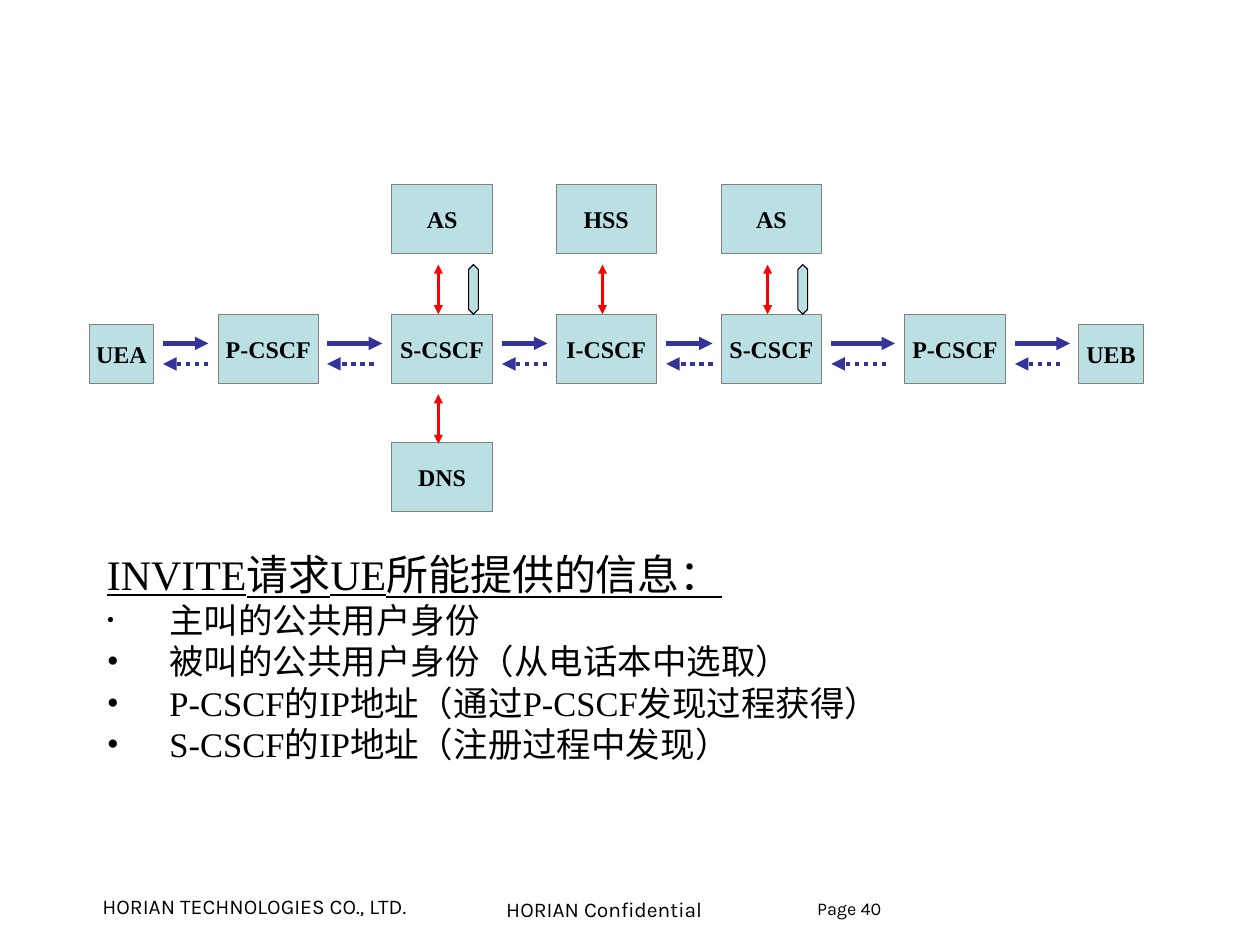
from lxml import etree
from pptx import Presentation
from pptx.dml.color import RGBColor
from pptx.enum.dml import MSO_LINE
from pptx.enum.shapes import MSO_CONNECTOR, MSO_SHAPE
from pptx.enum.text import MSO_ANCHOR, PP_ALIGN
from pptx.oxml.ns import qn
from pptx.util import Inches, Pt

RECTANGLE = MSO_SHAPE.RECTANGLE
UP_DOWN_ARROW = MSO_SHAPE.UP_DOWN_ARROW
STRAIGHT = MSO_CONNECTOR.STRAIGHT
DOTTED = MSO_LINE.ROUND_DOT
MIDDLE = MSO_ANCHOR.MIDDLE
TOP = MSO_ANCHOR.TOP
LEFT = PP_ALIGN.LEFT
CENTER = PP_ALIGN.CENTER

COLORS = {
    "text": "000000",
    "node": "BBE0E3",
    "node_line": "808080",
    "signal": "333399",
    "query": "FF0000",
}
BODY_FONT = "Times New Roman"
FOOTER_FONT = "Karla"

NODE_WIDTH, NODE_HEIGHT = 0.93, 0.64
SERVER_TOP, CSCF_TOP, DNS_TOP = 1.71, 2.91, 4.1
ORIGINATING, INTERROGATING, TERMINATING = 3.63, 5.15, 6.68
QUERY_OFFSET, SERVICE_OFFSET = 0.43, 0.71
VERTICAL_GAP, VERTICAL_LENGTH = 0.1, 0.46
REQUEST_Y, RESPONSE_Y = 3.18, 3.37

NODES = [
    ("UEA", 0.83, 3, 0.59, 0.55),
    ("UEB", 9.99, 3, 0.6, 0.55),
] + [
    (name, left, top, NODE_WIDTH, NODE_HEIGHT)
    for name, left, top in [
        ("P-CSCF", 2.02, CSCF_TOP),
        ("S-CSCF", ORIGINATING, CSCF_TOP),
        ("I-CSCF", INTERROGATING, CSCF_TOP),
        ("S-CSCF", TERMINATING, CSCF_TOP),
        ("P-CSCF", 8.38, CSCF_TOP),
        ("AS", ORIGINATING, SERVER_TOP),
        ("HSS", INTERROGATING, SERVER_TOP),
        ("AS", TERMINATING, SERVER_TOP),
        ("DNS", ORIGINATING, DNS_TOP),
    ]
]

HOPS = [
    (1.51, 1.93, 1.93),
    (3.03, 3.54, 3.46),
    (4.65, 5.07, 5.07),
    (6.17, 6.6, 6.6),
    (7.7, 8.29, 8.21),
    (9.4, 9.91, 9.82),
]

QUERIES = [
    (ORIGINATING, SERVER_TOP),
    (INTERROGATING, SERVER_TOP),
    (TERMINATING, SERVER_TOP),
    (ORIGINATING, CSCF_TOP),
]

HEADING = "INVITE请求UE所能提供的信息："
INFORMATION = [
    ("主叫的公共用户身份", "●", 35),
    ("被叫的公共用户身份（从电话本中选取）", "•", 100),
    ("P-CSCF的IP地址（通过P-CSCF发现过程获得）", "•", 100),
    ("S-CSCF的IP地址（注册过程中发现）", "•", 100),
]

FOOTERS = [
    ("HORIAN TECHNOLOGIES CO., LTD.", 0.85, 8.22, 3.37, 14, 1),
    ("HORIAN Confidential", 4.59, 8.25, 2.18, 14, 1),
    ("Page 40", 7.47, 8.29, 1.35, 12, 0.85),
]


def color(name):
    return RGBColor.from_string(COLORS[name])


def write(paragraph, text, *, size, font=BODY_FONT, bold=False,
          underline=False, align=LEFT, spacing=1):
    paragraph.alignment = align
    paragraph.line_spacing = spacing
    run = paragraph.add_run()
    run.text = text
    run.font.name = font
    run.font.size = Pt(size)
    run.font.bold = bold
    run.font.underline = underline
    run.font.color.rgb = color("text")


def set_frame(frame, horizontal, vertical, wrap=True, anchor=TOP):
    frame.margin_left = frame.margin_right = Inches(horizontal)
    frame.margin_top = frame.margin_bottom = Inches(vertical)
    frame.word_wrap = wrap
    frame.vertical_anchor = anchor


def add_filled_shape(slide, kind, left, top, width, height, line, line_width):
    shape = slide.shapes.add_shape(
        kind, Inches(left), Inches(top), Inches(width), Inches(height))
    shape.shadow.inherit = False
    shape.fill.solid()
    shape.fill.fore_color.rgb = color("node")
    shape.line.color.rgb = color(line)
    shape.line.width = Pt(line_width)
    return shape


def add_node(slide, name, left, top, width, height):
    shape = add_filled_shape(
        slide, RECTANGLE, left, top, width, height, "node_line", 0.5)
    set_frame(shape.text_frame, 0.12, 0.06, wrap=False, anchor=MIDDLE)
    write(shape.text_frame.paragraphs[0], name, size=16, bold=True, align=CENTER)


def add_arrow(slide, start, end, line, width, ends=("tailEnd",), dash=None):
    connector = slide.shapes.add_connector(
        STRAIGHT, *(Inches(value) for value in (*start, *end)))
    connector.line.color.rgb = color(line)
    connector.line.width = Pt(width)
    if dash is not None:
        connector.line.dash_style = dash
    properties = connector._element.spPr
    outline = properties.find(qn("a:ln"))
    for end_name in ends:
        etree.SubElement(outline, qn("a:" + end_name), type="triangle")
    etree.SubElement(properties, qn("a:effectLst"))


def add_service_arrow(slide, column):
    arrow = add_filled_shape(
        slide, UP_DOWN_ARROW, column + SERVICE_OFFSET,
        SERVER_TOP + NODE_HEIGHT + VERTICAL_GAP, 0.09, VERTICAL_LENGTH, "text", 0.75)
    arrow.adjustments[0] = 0.5
    arrow.adjustments[1] = 1


def add_text_box(slide, left, top, width, height, horizontal, vertical):
    box = slide.shapes.add_textbox(
        Inches(left), Inches(top), Inches(width), Inches(height))
    set_frame(box.text_frame, horizontal, vertical)
    return box.text_frame


def add_bullet(paragraph, character, percent):
    properties = paragraph._p.get_or_add_pPr()
    properties.set("marL", str(Inches(0.58)))
    properties.set("indent", str(Inches(-0.58)))
    bullet_color = etree.SubElement(properties, qn("a:buClr"))
    etree.SubElement(bullet_color, qn("a:srgbClr"), val=COLORS["text"])
    etree.SubElement(properties, qn("a:buSzPct"), val=str(percent * 1000))
    etree.SubElement(properties, qn("a:buFont"), typeface=BODY_FONT)
    etree.SubElement(properties, qn("a:buChar"), char=character)


def add_information(slide):
    frame = add_text_box(slide, 0.87, 5.02, 10.43, 2.88, 0.12, 0.06)
    write(frame.paragraphs[0], HEADING, size=28, underline=True)
    for text, character, percent in INFORMATION:
        paragraph = frame.add_paragraph()
        add_bullet(paragraph, character, percent)
        write(paragraph, text, size=23)


def main():
    presentation = Presentation()
    presentation.slide_width = Inches(11.67)
    presentation.slide_height = Inches(8.75)
    slide = presentation.slides.add_slide(presentation.slide_layouts[6])

    for text, left, top, width, size, spacing in FOOTERS:
        frame = add_text_box(slide, left, top, width, 0.33, 0.1, 0.05)
        write(frame.paragraphs[0], text, size=size, font=FOOTER_FONT, spacing=spacing)
    for node in NODES:
        add_node(slide, *node)
    for start, request_end, response_start in HOPS:
        add_arrow(slide, (start, REQUEST_Y), (request_end, REQUEST_Y), "signal", 3)
        add_arrow(slide, (response_start, RESPONSE_Y), (start, RESPONSE_Y),
                  "signal", 3, dash=DOTTED)
    for column, upper_top in QUERIES:
        x = column + QUERY_OFFSET
        y = upper_top + NODE_HEIGHT + VERTICAL_GAP
        add_arrow(slide, (x, y), (x, y + VERTICAL_LENGTH), "query", 2,
                  ends=("headEnd", "tailEnd"))
    for column in (ORIGINATING, TERMINATING):
        add_service_arrow(slide, column)
    add_information(slide)

    presentation.save("out.pptx")


if __name__ == "__main__":
    main()
